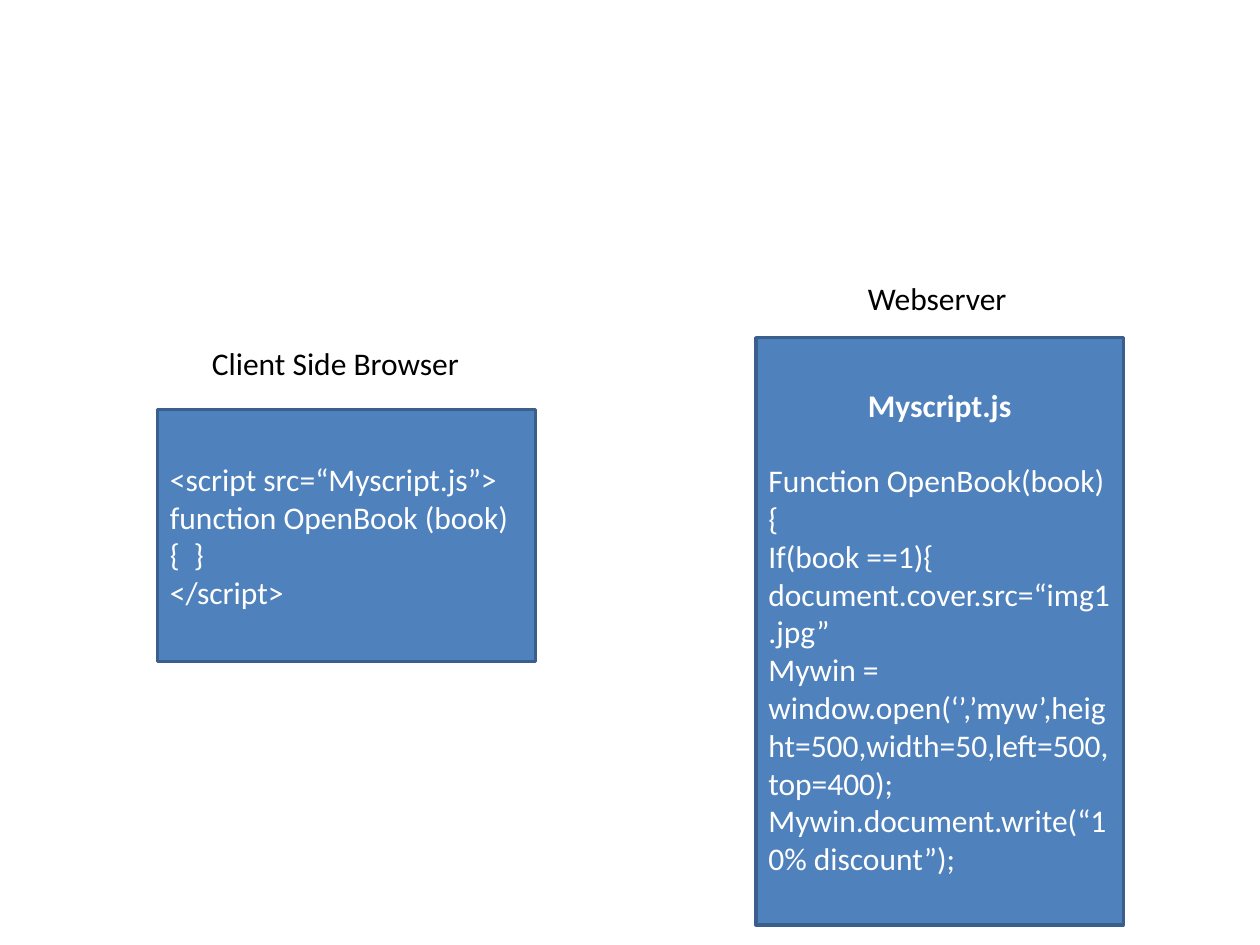
from pptx import Presentation
from pptx.dml.color import RGBColor
from pptx.enum.shapes import MSO_SHAPE
from pptx.enum.text import MSO_ANCHOR, MSO_AUTO_SIZE, PP_ALIGN
from pptx.util import Pt

RECTANGLE = MSO_SHAPE.RECTANGLE
MIDDLE = MSO_ANCHOR.MIDDLE
FIT_SHAPE = MSO_AUTO_SIZE.SHAPE_TO_FIT_TEXT
LEFT, CENTER, JUSTIFY = PP_ALIGN.LEFT, PP_ALIGN.CENTER, PP_ALIGN.JUSTIFY

BLUE = RGBColor(0x4F, 0x81, 0xBD)
DARK_BLUE = RGBColor(0x3A, 0x5F, 0x8C)
WHITE = RGBColor(0xFF, 0xFF, 0xFF)
BLACK = RGBColor(0x00, 0x00, 0x00)


def write_lines(frame, lines, color):
    frame.text = "\n".join(text for text, _ in lines)
    for paragraph, (_, alignment) in zip(frame.paragraphs, lines):
        paragraph.alignment = alignment
        font = paragraph.runs[0].font
        font.name = "Calibri"
        font.size = Pt(18)
        font.color.rgb = color


prs = Presentation()
prs.slide_width, prs.slide_height = Pt(720), Pt(540)
slide = prs.slides.add_slide(prs.slide_layouts[6])

browser_code = [
    ("<script src=“Myscript.js”>", JUSTIFY),
    ("function OpenBook (book) {  }", LEFT),
    ("</script>", JUSTIFY),
]
server_code = [
    ("Myscript.js", CENTER),
    ("Function OpenBook(book)", JUSTIFY),
    ("{", JUSTIFY),
    ("If(book ==1){", JUSTIFY),
    ("document.cover.src=“img1.jpg”", JUSTIFY),
    ("Mywin = window.open(‘’,’myw’,height=500,width=50,left=500,top=400);", LEFT),
    ("Mywin.document.write(“10% discount”);", JUSTIFY),
]

code_frames = []
for left, top, width, height, code in [
    (90, 234, 216, 144, browser_code),
    (432, 193, 210, 335.5, server_code),
]:
    panel = slide.shapes.add_shape(RECTANGLE, Pt(left), Pt(top), Pt(width), Pt(height))
    panel.shadow.inherit = False
    panel.fill.solid()
    panel.fill.fore_color.rgb = BLUE
    panel.line.color.rgb = DARK_BLUE
    panel.line.width = Pt(2)
    panel.text_frame.word_wrap = True
    panel.text_frame.vertical_anchor = MIDDLE
    write_lines(panel.text_frame, code, WHITE)
    code_frames.append(panel.text_frame)

file_name = code_frames[1].paragraphs[0]
file_name.runs[0].font.bold = True
file_name.space_after = Pt(21.6)

for left, top, width, caption, alignment in [
    (114, 193, 157.5, "Client Side Browser", LEFT),
    (488, 156, 95, "Webserver", CENTER),
]:
    label = slide.shapes.add_textbox(Pt(left), Pt(top), Pt(width), Pt(29))
    label.text_frame.word_wrap = False
    label.text_frame.auto_size = FIT_SHAPE
    write_lines(label.text_frame, [(caption, alignment)], BLACK)

prs.save("out.pptx")
